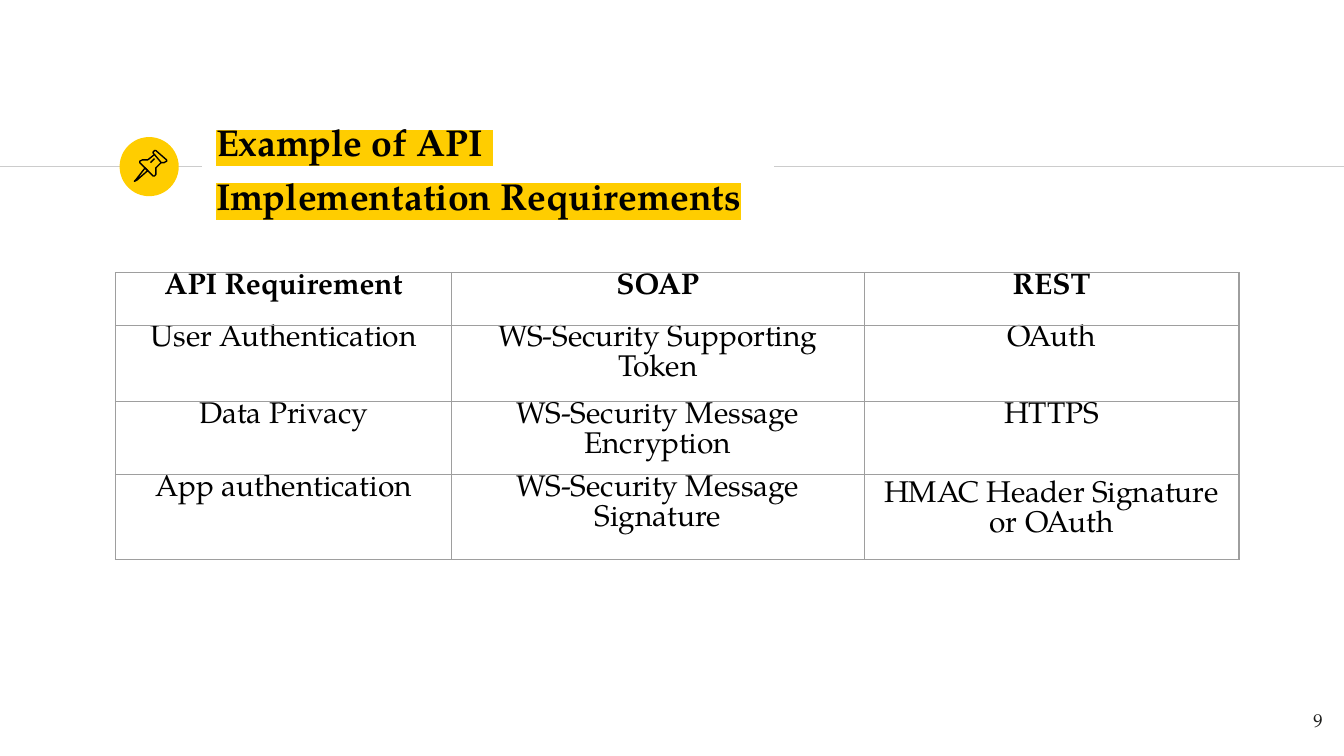
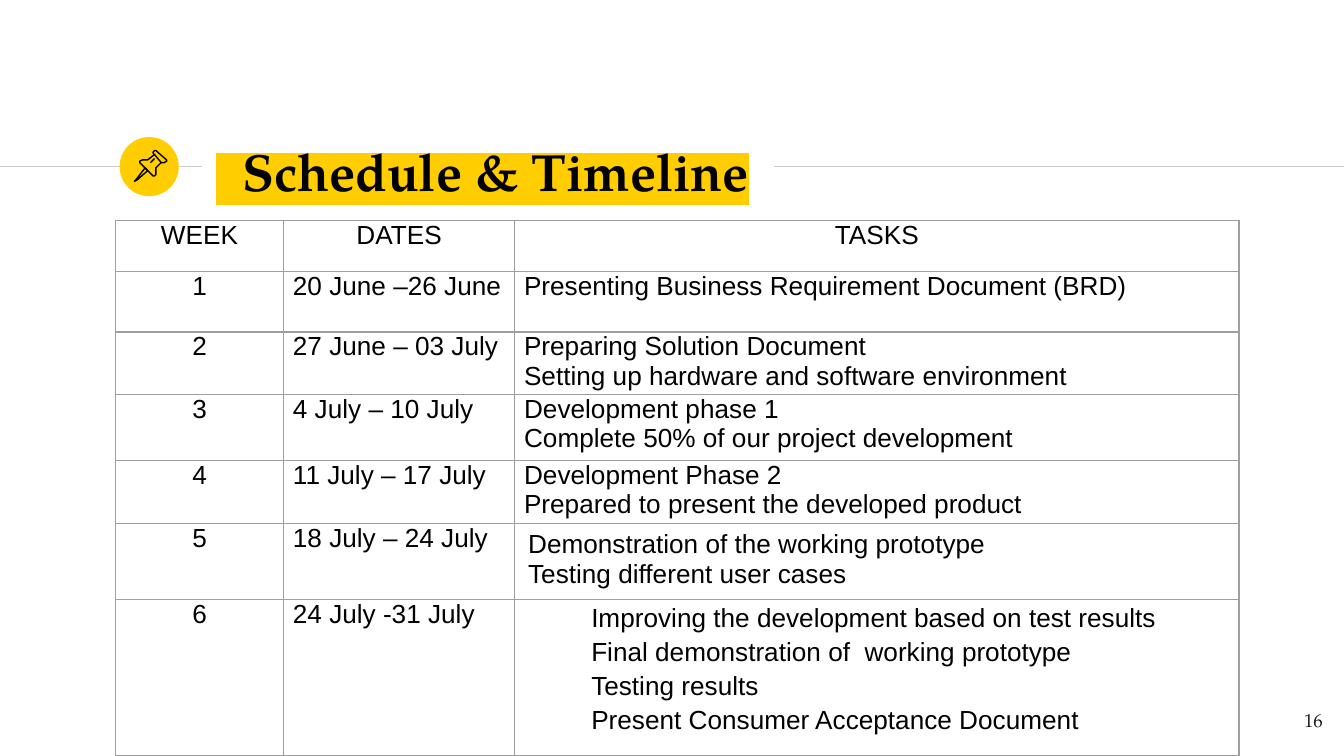
from dataclasses import dataclass

from lxml import etree
from pptx import Presentation
from pptx.dml.color import RGBColor
from pptx.enum.shapes import MSO_CONNECTOR, MSO_SHAPE
from pptx.enum.text import MSO_ANCHOR, PP_ALIGN
from pptx.oxml.ns import qn
from pptx.util import Inches, Pt

STRAIGHT, OVAL = MSO_CONNECTOR.STRAIGHT, MSO_SHAPE.OVAL
MIDDLE, TOP = MSO_ANCHOR.MIDDLE, MSO_ANCHOR.TOP
LEFT, CENTER, RIGHT = PP_ALIGN.LEFT, PP_ALIGN.CENTER, PP_ALIGN.RIGHT

YELLOW = RGBColor(0xFF, 0xCD, 0x00)
BLACK = RGBColor(0x00, 0x00, 0x00)
INK = RGBColor(0x1D, 0x1D, 0x1B)
RULE_GREY = RGBColor(0xCC, 0xCC, 0xCC)
BORDER_GREY = RGBColor(0x9E, 0x9E, 0x9E)
SERIF, SANS = "TeX Gyre Pagella", "Arial"
HAIRLINE = Pt(0.75)

SLIDE_WIDTH, SLIDE_HEIGHT = Inches(10), Inches(5.625)
UNIT = SLIDE_WIDTH // 1000


@dataclass
class Box:
    """A region in grid units, a thousandth of the slide width each."""

    left: float
    top: float
    width: float
    height: float

    def emu(self):
        """Return left, top, width and height as slide lengths."""
        return [round(n * UNIT) for n in (self.left, self.top, self.width, self.height)]


HEADER = Box(0, 98, 1000, 48)
PAGE_NUMBER = Box(934, 519, 60, 43)

PIN_STROKES = [
    ([(19, 23), (12, 32), (11, 33), (13, 32), (21, 25)], True),
    ([(26, 13), (31, 19), (33, 19), (35, 18), (35, 17), (27, 10),
      (26, 10), (25, 11), (25, 12)], True),
    ([(26, 13), (21, 17), (19, 17), (17, 17), (15, 18), (15, 19), (25, 29),
      (26, 29), (27, 28), (27, 25), (27, 23), (31, 19)], False),
    ([(23, 19), (26, 16)], False),
]

API_ROWS = [
    ["API Requirement", "SOAP", "REST"],
    ["User Authentication", "WS-Security Supporting Token", "OAuth"],
    ["Data Privacy", "WS-Security Message Encryption", "HTTPS"],
    ["App authentication", "WS-Security Message Signature",
     "HMAC Header Signature or OAuth"],
]

SCHEDULE_ROWS = [
    ["WEEK", "DATES", "TASKS"],
    ["1", "20 June –26 June", "Presenting Business Requirement Document (BRD)"],
    ["2", "27 June – 03 July",
     "Preparing Solution Document\nSetting up hardware and software environment"],
    ["3", "4 July – 10 July",
     "Development phase 1\nComplete 50% of our project development"],
    ["4", "11 July – 17 July",
     "Development Phase 2\nPrepared to present the developed product"],
    ["5", "18 July – 24 July",
     "Demonstration of the working prototype\nTesting different user cases"],
    ["6", "24 July -31 July",
     "Improving the development based on test results\n"
     "Final demonstration of  working prototype\n"
     "Testing results\nPresent Consumer Acceptance Document"],
]


def add_run(paragraph, text, size, font=SERIF, color=BLACK, bold=False):
    """Append one styled run and return it."""
    run = paragraph.add_run()
    run.text = text
    run.font.size, run.font.name, run.font.bold = Pt(size), font, bold
    run.font.color.rgb = color
    return run


def highlight(run, color):
    """Put a marker colour behind a run."""
    marker = etree.Element(qn("a:highlight"))
    etree.SubElement(marker, qn("a:srgbClr"), val=str(color))
    run.font._rPr.find(qn("a:solidFill")).addnext(marker)


def add_text_frame(slide, box, anchor):
    """Add a wrapping text box with even insets and return its frame."""
    frame = slide.shapes.add_textbox(*box.emu()).text_frame
    frame.word_wrap, frame.vertical_anchor = True, anchor
    frame.margin_left = frame.margin_right = Inches(0.1)
    frame.margin_top = frame.margin_bottom = Inches(0.1)
    return frame


def add_rule(slide, start, end, y):
    """Draw one horizontal hairline."""
    rule = slide.shapes.add_connector(
        STRAIGHT, *(round(n * UNIT) for n in (start, y, end, y)))
    rule.line.color.rgb, rule.line.width = RULE_GREY, HAIRLINE
    etree.SubElement(rule._element.spPr, qn("a:effectLst"))


def add_pin_badge(slide, box):
    """Draw the round badge with its outlined pushpin."""
    badge = slide.shapes.add_shape(OVAL, *box.emu())
    badge.shadow.inherit = False
    badge.fill.solid()
    badge.fill.fore_color.rgb = YELLOW
    badge.line.fill.background()
    pin = slide.shapes.add_group_shape()
    for points, closed in PIN_STROKES:
        outline = [(box.left + x, box.top + y) for x, y in points]
        builder = pin.shapes.build_freeform(*outline[0], scale=UNIT)
        builder.add_line_segments(outline[1:], close=closed)
        stroke = builder.convert_to_shape()
        stroke.shadow.inherit = False
        stroke.fill.background()
        stroke.line.color.rgb, stroke.line.width = BLACK, HAIRLINE


def add_header(slide, box, title_lines, size):
    """Place the rules, badge and highlighted title in the header band."""
    rule_y = box.top + 26
    add_rule(slide, box.left, box.left + 150, rule_y)
    add_pin_badge(slide, Box(box.left + 89, box.top + 4, 44, 44))
    add_rule(slide, box.left + 576, box.left + box.width, rule_y)
    title_box = Box(box.left + 151, box.top, 490, box.height)
    title = add_text_frame(slide, title_box, MIDDLE).paragraphs[0]
    title.line_spacing = 1.2
    for index, line in enumerate(title_lines):
        if index:
            title.add_line_break()
        highlight(add_run(title, line, size, bold=True), YELLOW)


def add_page_number(slide, box, number):
    """Place the right-aligned page number."""
    paragraph = add_text_frame(slide, box, TOP).paragraphs[0]
    paragraph.alignment = RIGHT
    add_run(paragraph, str(number), 10, color=INK)


def add_borders(cell):
    """Draw a grey hairline on all four sides of a cell."""
    properties = cell._tc.get_or_add_tcPr()
    for index, side in enumerate(("lnL", "lnR", "lnT", "lnB")):
        line = etree.Element(qn(f"a:{side}"), w=str(HAIRLINE))
        fill = etree.SubElement(line, qn("a:solidFill"))
        etree.SubElement(fill, qn("a:srgbClr"), val=str(BORDER_GREY))
        properties.insert(index, line)


def fill_cell(cell, text, align, padded, indented, **style):
    """Write one paragraph per line of text into a bordered cell."""
    cell.fill.background()
    add_borders(cell)
    cell.margin_left = cell.margin_right = Inches(0.1 if padded else 0.07)
    cell.margin_top = cell.margin_bottom = Inches(0.05 if padded else 0)
    frame = cell.text_frame
    for index, line in enumerate(text.split("\n")):
        paragraph = frame.add_paragraph() if index else frame.paragraphs[0]
        paragraph.alignment = align
        if indented:
            paragraph.line_spacing = 1.15
            paragraph._p.get_or_add_pPr().set("marL", str(Inches(0.5)))
        add_run(paragraph, line, **style)


def add_grid(slide, box, rows, widths, heights, aligns, size, font,
             bold_header=False, padded=None, indented=None):
    """Build a plain bordered table with a centred header row."""
    table = slide.shapes.add_table(len(rows), len(widths), *box.emu()).table
    table.first_row = table.horz_banding = False
    for column, width in zip(table.columns, widths):
        column.width = width * UNIT
    for row, height in zip(table.rows, heights):
        row.height = height * UNIT
    for r, texts in enumerate(rows):
        for c, text in enumerate(texts):
            fill_cell(table.cell(r, c), text, aligns[c] if r else CENTER,
                      (r, c) == padded, (r, c) == indented,
                      size=size, font=font, bold=bold_header and r == 0)


def add_base_slide(deck, title_lines, title_size, number):
    """Add a blank slide with the shared header and page number."""
    slide = deck.slides.add_slide(deck.slide_layouts[6])
    add_header(slide, HEADER, title_lines, title_size)
    add_page_number(slide, PAGE_NUMBER, number)
    return slide


def build_requirements(deck):
    """Compare the SOAP and REST requirements."""
    slide = add_base_slide(
        deck, ["Example of API ", "Implementation Requirements"], 20, 9)
    add_grid(slide, Box(86, 203, 836, 205), API_ROWS, [250, 307, 279],
             [39, 57, 54, 55], [CENTER] * 3, 16, SERIF,
             bold_header=True, padded=(3, 2))


def build_schedule(deck):
    """List the weekly tasks."""
    slide = add_base_slide(deck, ["  Schedule & Timeline"], 28, 16)
    add_grid(slide, Box(86, 164, 836, 393), SCHEDULE_ROWS, [125, 172, 539],
             [38, 45, 45, 49, 45, 55, 116], [CENTER, LEFT, LEFT], 14, SANS,
             padded=(5, 2), indented=(6, 2))


def main():
    """Build and save the deck."""
    deck = Presentation()
    deck.slide_width, deck.slide_height = SLIDE_WIDTH, SLIDE_HEIGHT
    build_requirements(deck)
    build_schedule(deck)
    deck.save("out.pptx")


if __name__ == "__main__":
    main()
